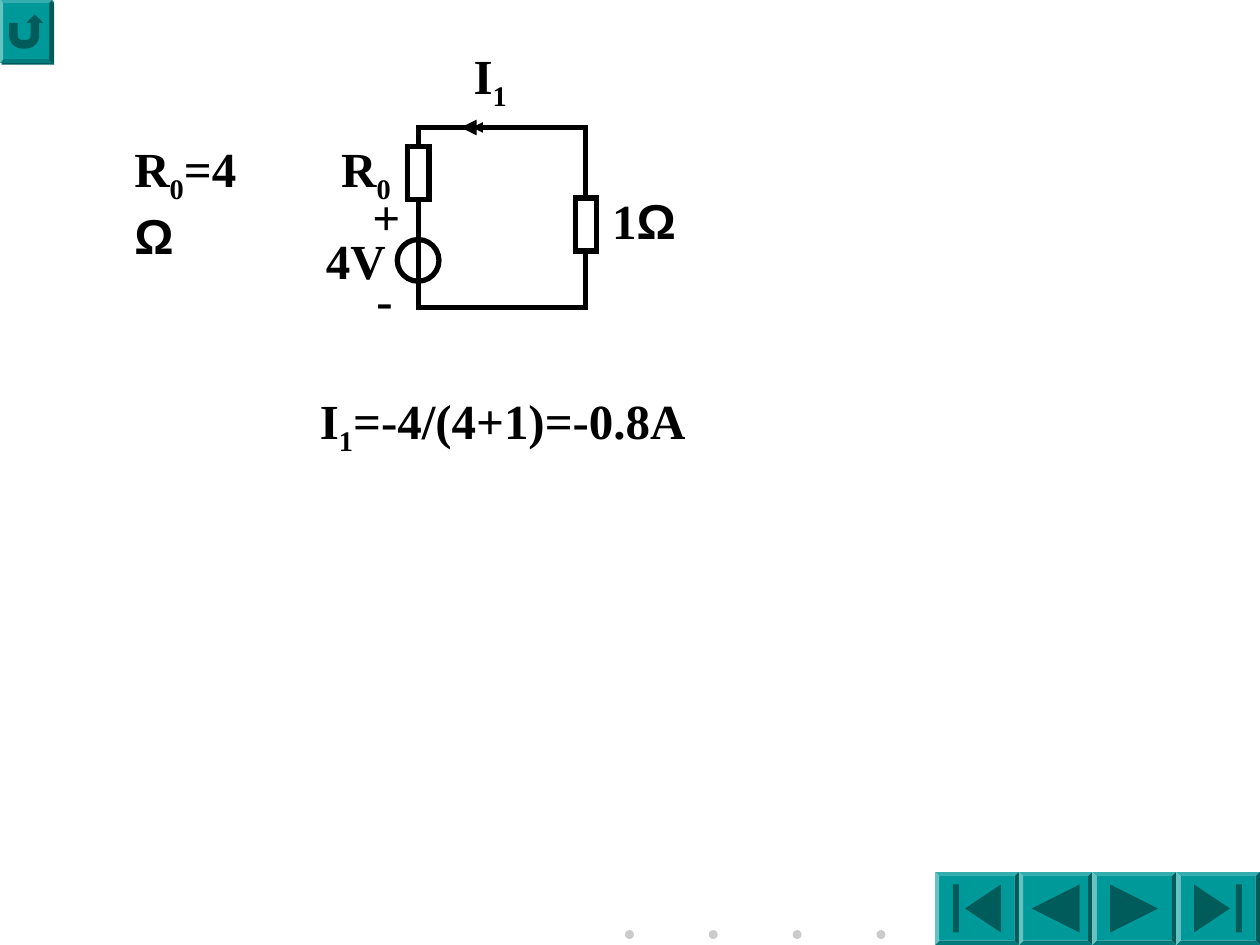
from lxml import etree
from pptx import Presentation
from pptx.dml.color import RGBColor
from pptx.enum.shapes import MSO_CONNECTOR, MSO_SHAPE
from pptx.enum.text import MSO_AUTO_SIZE
from pptx.oxml.ns import qn
from pptx.util import Cm, Pt

BLACK = RGBColor(0x00, 0x00, 0x00)
WHITE = RGBColor(0xFF, 0xFF, 0xFF)
TEAL = RGBColor(0x00, 0x99, 0x99)
DARK_TEAL = RGBColor(0x00, 0x5B, 0x5B)
DOT_GREY = RGBColor(0xCB, 0xCB, 0xCB)

RECTANGLE = MSO_SHAPE.RECTANGLE
OVAL = MSO_SHAPE.OVAL
BEVEL = MSO_SHAPE.BEVEL
RETURN = MSO_SHAPE.ACTION_BUTTON_RETURN
FIRST = MSO_SHAPE.ACTION_BUTTON_BEGINNING
BACK = MSO_SHAPE.ACTION_BUTTON_BACK_OR_PREVIOUS
NEXT = MSO_SHAPE.ACTION_BUTTON_FORWARD_OR_NEXT
LAST = MSO_SHAPE.ACTION_BUTTON_END
STRAIGHT = MSO_CONNECTOR.STRAIGHT
FIT_TEXT = MSO_AUTO_SIZE.SHAPE_TO_FIT_TEXT

SERIF, SANS = "Times New Roman", "Arial"
LINE_WIDTH = Pt(3)


def add_span(para, text, font=SERIF, subscript=False):
    span = para.add_run()
    span.text = text
    span.font.name = font
    span.font.size = Pt(28)
    span.font.bold = True
    span.font.color.rgb = BLACK
    if subscript:
        span._r.get_or_add_rPr().set("baseline", "-25000")


def add_label(shapes, spans, left, top, width, height=1.45, wrap=False):
    """Place one line of spans, each a (text, format) pair."""
    box = shapes.add_textbox(Cm(left), Cm(top), Cm(width), Cm(height))
    frame = box.text_frame
    frame.word_wrap = wrap
    frame.auto_size = FIT_TEXT
    for text, style in spans:
        add_span(frame.paragraphs[0], text, **style)


def add_figure(shapes, kind, left, top, width, height, fill=None, line=None):
    figure = shapes.add_shape(kind, Cm(left), Cm(top), Cm(width), Cm(height))
    figure.shadow.inherit = False
    if fill is None:
        figure.fill.background()
    else:
        figure.fill.solid()
        figure.fill.fore_color.rgb = fill
    if line is None:
        figure.line.fill.background()
    else:
        figure.line.color.rgb = line
        figure.line.width = LINE_WIDTH
        etree.SubElement(figure.line._get_or_add_ln(), qn("a:miter"), lim="800000")
    return figure


def add_wire(shapes, start, end, head=None):
    wire = shapes.add_connector(STRAIGHT, *(Cm(v) for v in (*start, *end)))
    wire.line.color.rgb = BLACK
    wire.line.width = LINE_WIDTH
    outline = wire.line._get_or_add_ln()
    if head:
        etree.SubElement(outline, qn("a:tailEnd"), type="triangle", w=head, len=head)
    else:
        outline.set("cap", "sq")
    etree.SubElement(wire._element.spPr, qn("a:effectLst"))


def add_hard_shadow(figure, color):
    effects = figure._element.spPr.find(qn("a:effectLst"))
    shadow = etree.SubElement(effects, qn("a:outerShdw"), dist=str(Pt(1.4)),
                              dir="2700000", algn="ctr", rotWithShape="0")
    etree.SubElement(shadow, qn("a:srgbClr"), val=str(color))


def add_button(page, kind, left, top, width, height, edge=0.09):
    """Set an action button inside a bevelled rim and return the rim."""
    rim = add_figure(page.shapes, BEVEL, left, top, width, height, fill=TEAL)
    rim.adjustments[0] = edge / min(width, height)
    add_figure(page.shapes, kind, left + edge, top + edge,
               width - 2 * edge, height - 2 * edge, fill=TEAL)
    return rim


def draw_dots(page, left, top, pitch=1.69, size=0.18, count=4):
    shapes = page.shapes.add_group_shape().shapes
    for index in range(count):
        add_figure(shapes, OVAL, left + index * pitch, top, size, size, fill=DOT_GREY)


def draw_navigation(page, left, top, height):
    for kind, width in ((FIRST, 1.69), (BACK, 1.48), (NEXT, 1.69), (LAST, 1.69)):
        add_button(page, kind, left, top, width, height)
        left += width


def draw_circuit(page, left, top, width, height):
    shapes = page.shapes.add_group_shape().shapes
    right, bottom = left + width, top + height
    top_joint, bottom_joint = left + 1.47, left + 1.27

    # Wire loop: both sides, then the halves of the top and bottom
    for x in (left, right):
        add_wire(shapes, (x, top), (x, bottom))
        add_wire(shapes, (x, top), (top_joint, top))
        add_wire(shapes, (x, bottom), (bottom_joint, bottom))

    # Current direction
    for start, end, head in ((2.36, 1.09, "sm"), (1.93, 0.86, "med")):
        add_wire(shapes, (left + start, top), (left + end, top), head=head)

    # Resistors and voltage source, centred on the side wires
    for x, drop in ((left, 0.38), (right, 1.42)):
        add_figure(shapes, RECTANGLE, x - 0.21, top + drop, 0.43, 1.07,
                   fill=WHITE, line=BLACK)
    add_figure(shapes, OVAL, left - 0.42, top + 2.26, 0.84, 0.84, line=BLACK)

    # Component labels
    sub = {"subscript": True}
    labels = (
        ([("4V", {})], -2.11, 1.95, 1.9, 1.45),
        ([("R", {}), ("0", sub)], -1.8, 0.1, 1.6, 1.6),
        ([("+", {})], -1.17, 1.06, 1.07, 1.45),
        ([("-", {})], -1.09, 2.74, 0.84, 1.45),
        ([("I", {}), ("1", sub)], 0.87, -1.78, 1.6, 1.6),
        ([("1", {}), ("Ω", {"font": SANS})], 3.66, 1.14, 2.36, 1.45),
    )
    for spans, dx, dy, label_width, label_height in labels:
        add_label(shapes, spans, left + dx, top + dy, label_width, label_height,
                  wrap=True)


def draw_results(page, left, top):
    sub = {"subscript": True}
    # Internal resistance; the unit falls on the second line
    add_label(page.shapes, [("R", {}), ("0", sub), ("=4", {}), ("Ω", {"font": SANS})],
              left, top, 3.2, 1.6, wrap=True)
    # Current
    add_label(page.shapes, [("I", {}), ("1", sub), ("=-4/(4+1)=-0.8A", {})],
              left + 3.74, top + 5.08, 7.87, 1.6)


def main():
    deck = Presentation()
    deck.slide_width, deck.slide_height = Cm(25.4), Cm(19.05)
    page = deck.slides.add_slide(deck.slide_layouts[6])

    draw_dots(page, 12.6, 18.75)
    return_rim = add_button(page, RETURN, 0, 0, 1.06, 1.27, edge=0.07)
    add_hard_shadow(return_rim, DARK_TEAL)
    draw_navigation(page, 18.85, 17.58, 1.47)
    draw_circuit(page, 8.43, 2.57, 3.38, 3.63)
    draw_results(page, 2.46, 2.67)

    deck.save("out.pptx")


if __name__ == "__main__":
    main()
